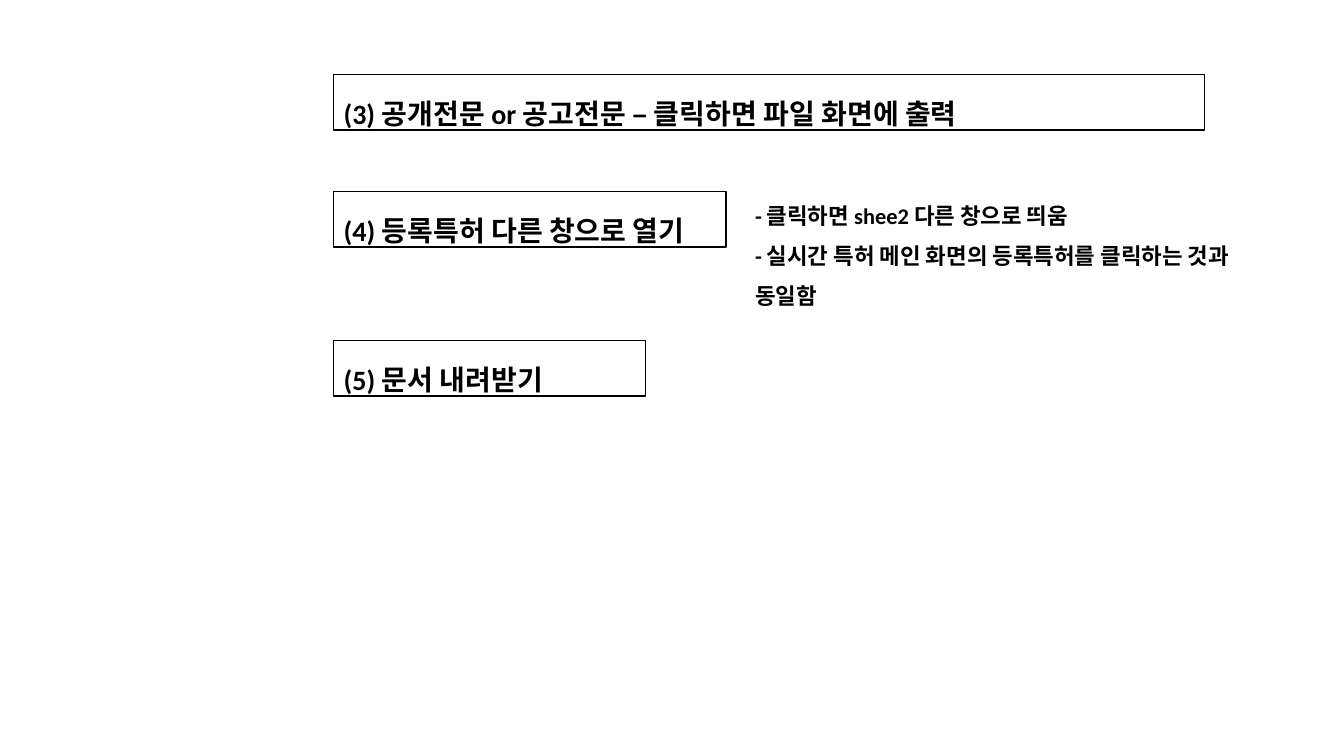
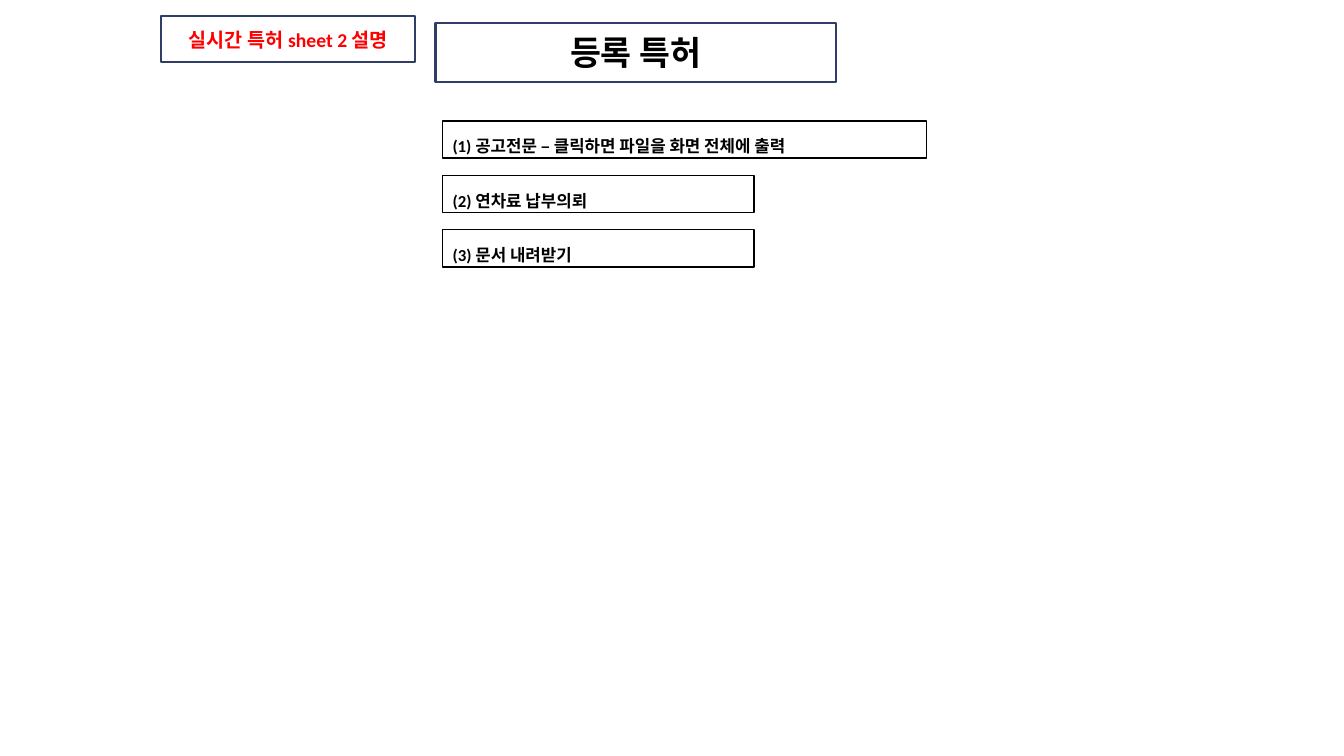
import pptx
import pptx.util
import pptx.dml.color
import pptx.enum.shapes
import pptx.enum.text

EMU_PER_PX = 9144
SLIDE_SIZE = (1333, 750)
FONT = "Calibri"
BLACK, WHITE, NAVY, RED = "000000", "FFFFFF", "2E3E67", "FF0000"

FILE_STEPS = [
    (331, 74, 864, "(3) 공개전문 or 공고전문 – 클릭하면 파일 화면에 출력"),
    (331, 190, 389, "(4) 등록특허 다른 창으로 열기"),
    (331, 338, 309, "(5) 문서 내려받기"),
]
WINDOW_NOTES = [
    "- 클릭하면 shee2 다른 창으로 띄움",
    "- 실시간 특허 메인 화면의 등록특허를 클릭하는 것과",
    "동일함",
]
HEADINGS = [
    ((432, 23, 397, 58), "등록 특허", 24, BLACK),
    ((160, 16, 252, 46), "실시간 특허 sheet 2 설명", 14, RED),
]
PATENT_STEPS = [
    (480, "(1) 공고전문 – 클릭하면 파일을 화면 전체에 출력"),
    (309, "(2) 연차료 납부의뢰"),
    (309, "(3) 문서 내려받기"),
]
PATENT_LEFT, PATENT_TOP, PATENT_PITCH = 439, 120, 54


def px(value):
    return pptx.util.Emu(value * EMU_PER_PX)


def color(value):
    return pptx.dml.color.RGBColor.from_string(value)


def write_text(shape, lines, *, size, text_color=BLACK, heading=False):
    frame = shape.text_frame
    frame.word_wrap = True
    anchors = pptx.enum.text.MSO_ANCHOR
    fits = pptx.enum.text.MSO_AUTO_SIZE
    alignments = pptx.enum.text.PP_ALIGN
    frame.vertical_anchor = anchors.MIDDLE if heading else anchors.TOP
    frame.auto_size = fits.NONE if heading else fits.SHAPE_TO_FIT_TEXT
    frame.text = "\n".join(lines)
    for paragraph in frame.paragraphs:
        paragraph.alignment = alignments.CENTER if heading else alignments.JUSTIFY
        paragraph.line_spacing = 1.0 if heading else 1.5
        for run in paragraph.runs:
            run.font.name = FONT
            run.font.size = pptx.util.Pt(size)
            run.font.bold = True
            run.font.color.rgb = color(text_color)


def add_box(slide, bounds, text, *, size, text_color=BLACK, heading=False):
    shape = slide.shapes.add_shape(
        pptx.enum.shapes.MSO_SHAPE.RECTANGLE, *map(px, bounds))
    shape.shadow.inherit = False
    if heading:
        shape.fill.solid()
        shape.fill.fore_color.rgb = color(WHITE)
    else:
        shape.fill.background()
    shape.line.color.rgb = color(NAVY if heading else BLACK)
    shape.line.width = pptx.util.Pt(1.5 if heading else 1)
    write_text(shape, [text], size=size, text_color=text_color, heading=heading)


def build_file_slide(slide):
    for left, top, width, text in FILE_STEPS:
        add_box(slide, (left, top, width, 55), text, size=20)
    notes = slide.shapes.add_textbox(*map(px, (739, 182, 580, 127)))
    write_text(notes, WINDOW_NOTES, size=16)


def build_patent_slide(slide):
    for bounds, text, size, text_color in HEADINGS:
        add_box(slide, bounds, text, size=size, text_color=text_color, heading=True)
    for index, (width, text) in enumerate(PATENT_STEPS):
        top = PATENT_TOP + index * PATENT_PITCH
        add_box(slide, (PATENT_LEFT, top, width, 37), text, size=12)


def main():
    presentation = pptx.Presentation()
    presentation.slide_width, presentation.slide_height = map(px, SLIDE_SIZE)
    blank_layout = presentation.slide_layouts[6]
    for build in (build_file_slide, build_patent_slide):
        build(presentation.slides.add_slide(blank_layout))
    presentation.save("out.pptx")


if __name__ == "__main__":
    main()
